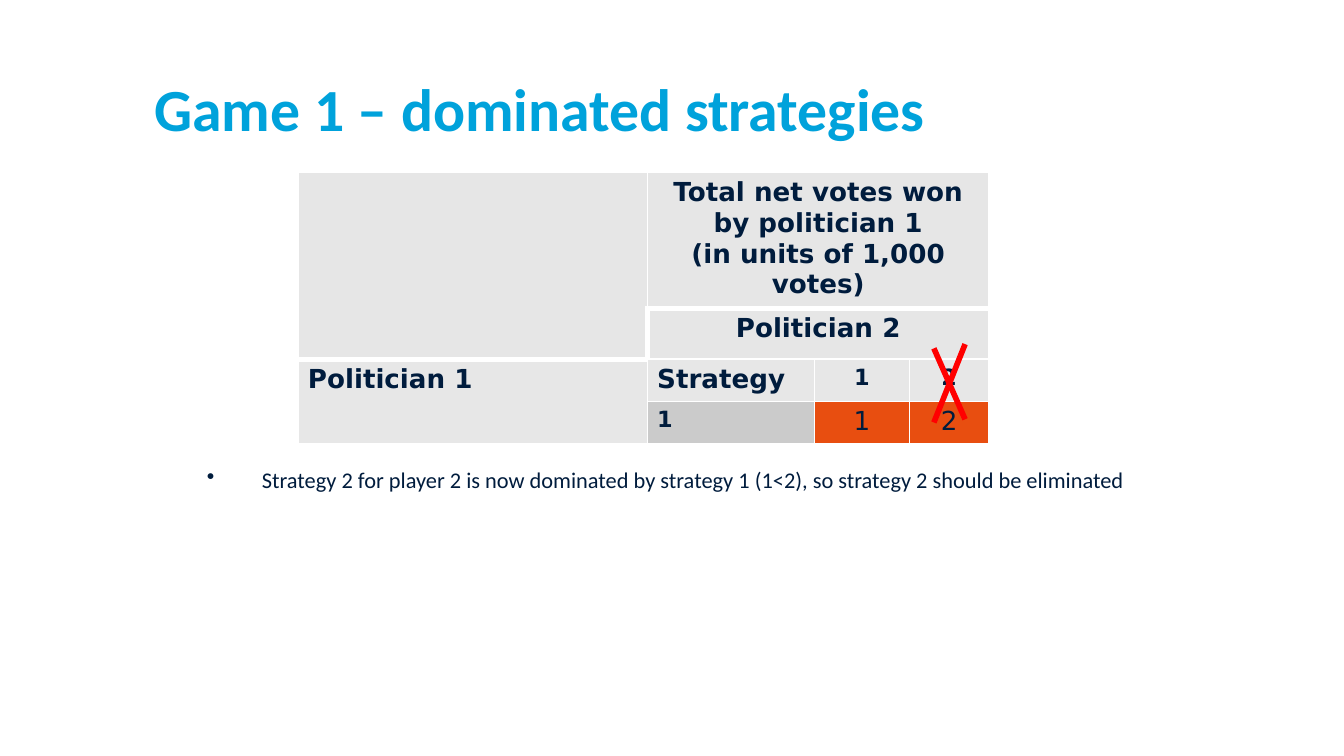
from dataclasses import dataclass
from typing import Any

from pptx import Presentation
from pptx.dml.color import RGBColor
from pptx.enum.shapes import MSO_CONNECTOR
from pptx.enum.text import MSO_ANCHOR, PP_ALIGN
from pptx.oxml.ns import qn
from pptx.oxml.xmlchemy import OxmlElement
from pptx.util import Cm, Pt

COLORS = {
    "title": "00A2DB",
    "text": "001C3D",
    "header": "E6E6E6",
    "strategy": "E7E7E7",
    "label": "CBCBCB",
    "payoff": "E84E10",
    "border": "FFFFFF",
    "cross": "FF0000",
}
TITLE = {"name": "Calibri", "size": Pt(32), "bold": True}
BODY = {"name": "Calibri", "size": Pt(12), "bold": False}
HEADING = {"name": "DejaVu Sans", "size": Pt(14), "bold": True}
NUMBER = HEADING | {"size": Pt(12)}
PAYOFF = HEADING | {"bold": False}
COLUMN_WIDTHS = (6.6, 3.15, 1.8, 1.5)
ROW_HEIGHTS = (2.49, 0.77, 0.77, 0.77)
CELL_MARGINS = {
    "margin_left": Cm(0.18),
    "margin_right": Cm(0.18),
    "margin_top": Cm(0.1),
    "margin_bottom": Cm(0.1),
}


@dataclass
class TableCell:
    row: int
    column: int
    lines: tuple[str, ...]
    fill: str
    format: dict[str, Any]
    centered: bool = True
    row_span: int = 1
    column_span: int = 1
    thick_sides: str = ""


@dataclass
class Stroke:
    start: tuple[float, float]
    end: tuple[float, float]


CELLS = [
    TableCell(0, 0, (), "header", HEADING, row_span=2, thick_sides="B"),
    TableCell(0, 1, ("Total net votes won by politician 1", "(in units of 1,000 votes)"),
              "header", HEADING, column_span=3, thick_sides="B"),
    TableCell(1, 1, ("Politician 2",), "header", HEADING, column_span=3, thick_sides="LT"),
    TableCell(2, 0, ("Politician 1",), "strategy", HEADING, False, row_span=2, thick_sides="T"),
    TableCell(2, 1, ("Strategy",), "strategy", HEADING, False),
    TableCell(2, 2, ("1",), "strategy", NUMBER),
    TableCell(2, 3, ("2",), "strategy", NUMBER),
    TableCell(3, 1, ("1",), "label", NUMBER, False),
    TableCell(3, 2, ("1",), "payoff", PAYOFF),
    TableCell(3, 3, ("2",), "payoff", PAYOFF),
]
CROSS = [Stroke((17.65, 7.98), (18.24, 6.5)), Stroke((17.65, 6.58), (18.24, 7.92))]


def color(name: str) -> RGBColor:
    return RGBColor.from_string(COLORS[name])


def apply_format(target: Any, values: dict[str, Any]) -> None:
    for name, value in values.items():
        setattr(target, name, value)


def add_text(paragraph: Any, text: str, values: dict[str, Any], color_name: str = "text") -> None:
    run = paragraph.add_run()
    run.text = text
    apply_format(run.font, values)
    run.font.color.rgb = color(color_name)


def add_text_box(slide: Any, left: float, top: float, width: float, height: float) -> Any:
    shape = slide.shapes.add_textbox(Cm(left), Cm(top), Cm(width), Cm(height))
    apply_format(shape.text_frame, {
        "word_wrap": True,
        "margin_left": 0, "margin_right": 0, "margin_top": 0, "margin_bottom": 0,
    })
    return shape.text_frame


def add_bullet(paragraph: Any, indent: float) -> None:
    properties = paragraph._p.get_or_add_pPr()
    properties.set("marL", str(Cm(indent)))
    properties.set("indent", str(-Cm(indent)))
    bullet = OxmlElement("a:buChar")
    bullet.set("char", "•")
    properties.append(bullet)


def set_borders(cell: Any, thick_sides: str) -> None:
    properties = cell._tc.get_or_add_tcPr()
    for position, side in enumerate("LRTB"):
        line = OxmlElement(f"a:ln{side}")
        line.set("w", str(Pt(3 if side in thick_sides else 1)))
        fill = OxmlElement("a:solidFill")
        value = OxmlElement("a:srgbClr")
        value.set("val", COLORS["border"])
        fill.append(value)
        line.append(fill)
        properties.insert(position, line)


def fill_cell(table: Any, item: TableCell) -> None:
    last_row = item.row + item.row_span - 1
    last_column = item.column + item.column_span - 1
    cell = table.cell(item.row, item.column)
    if (last_row, last_column) != (item.row, item.column):
        cell.merge(table.cell(last_row, last_column))
    for row in range(item.row, last_row + 1):
        for column in range(item.column, last_column + 1):
            part = table.cell(row, column)
            part.fill.solid()
            part.fill.fore_color.rgb = color(item.fill)
            set_borders(part, item.thick_sides)
    apply_format(cell, CELL_MARGINS)
    for index, text in enumerate(item.lines):
        frame = cell.text_frame
        paragraph = frame.add_paragraph() if index else frame.paragraphs[0]
        paragraph.alignment = PP_ALIGN.CENTER if item.centered else PP_ALIGN.LEFT
        add_text(paragraph, text, item.format)


def add_payoff_table(slide: Any) -> None:
    table = slide.shapes.add_table(
        len(ROW_HEIGHTS), len(COLUMN_WIDTHS), Cm(5.64), Cm(3.25),
        Cm(sum(COLUMN_WIDTHS)), Cm(sum(ROW_HEIGHTS))).table
    apply_format(table, {"first_row": False, "horz_banding": False})
    for column, width in zip(table.columns, COLUMN_WIDTHS):
        column.width = Cm(width)
    for row, height in zip(table.rows, ROW_HEIGHTS):
        row.height = Cm(height)
    for item in CELLS:
        fill_cell(table, item)


def add_stroke(slide: Any, stroke: Stroke) -> None:
    points = [Cm(value) for value in (*stroke.start, *stroke.end)]
    connector = slide.shapes.add_connector(MSO_CONNECTOR.STRAIGHT, *points)
    connector.line.color.rgb = color("cross")
    connector.line.width = Pt(3)
    connector._element.find(qn("p:spPr")).append(OxmlElement("a:effectLst"))


def main() -> None:
    presentation = Presentation()
    presentation.slide_width = Cm(25.4)
    presentation.slide_height = Cm(14.28)
    slide = presentation.slides.add_slide(presentation.slide_layouts[6])

    title = add_text_box(slide, 2.92, 1.24, 17.37, 1.57)
    title.vertical_anchor = MSO_ANCHOR.MIDDLE
    add_text(title.paragraphs[0], "Game 1 – dominated strategies", TITLE, "title")

    body = add_text_box(slide, 3.91, 8.8, 17.6, 0.6)
    add_bullet(body.paragraphs[0], 1.04)
    add_text(body.paragraphs[0],
             "Strategy 2 for player 2 is now dominated by strategy 1 (1<2), "
             "so strategy 2 should be eliminated", BODY)

    add_payoff_table(slide)
    for stroke in CROSS:
        add_stroke(slide, stroke)
    presentation.save("out.pptx")


if __name__ == "__main__":
    main()
